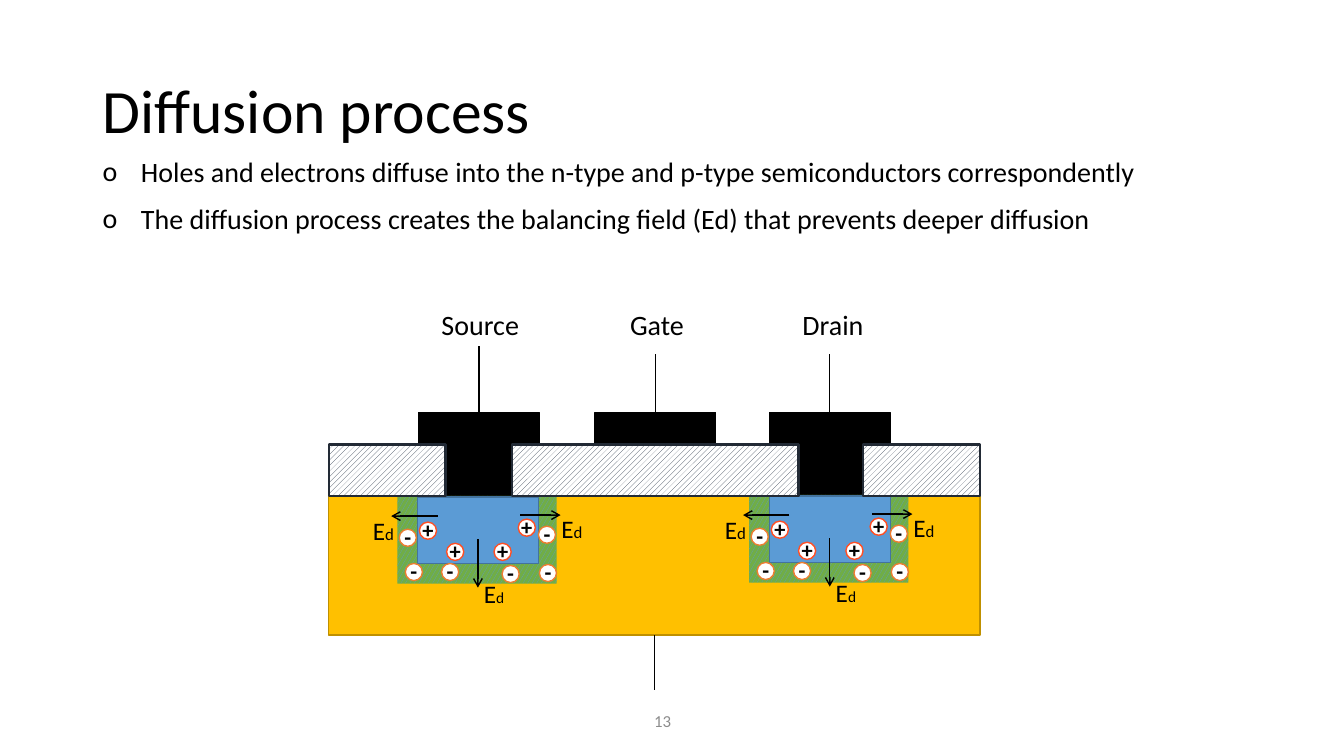
from lxml import etree
from pptx import Presentation
from pptx import util as u
from pptx.dml.color import RGBColor
from pptx.enum import dml, shapes, text
from pptx.oxml.ns import qn

EMU_PER_PX = 9144  # 100 px to the inch
BLACK, WHITE = "000000", "FFFFFF"
WELL_BLUE, WELL_GREEN = "5B9BD5", "70AD47"
HOLE_RED, ELECTRON_ORANGE = "FF4F25", "ED7D31"
CONFETTI = dml.MSO_PATTERN.LARGE_CONFETTI
HATCH = dml.MSO_PATTERN.WIDE_UPWARD_DIAGONAL


def px(length):
    return u.Emu(length * EMU_PER_PX)


def color(hex_code):
    return RGBColor.from_string(hex_code)


class Sketch:
    """Holds the text style and the page being drawn."""

    def __init__(self, page, font="Calibri"):
        self.page = page
        self.font = font

    def runs(self, para, spans, hex_code=BLACK, bold=False):
        for words, size in spans:
            span = para.add_run()
            span.text = words
            span.font.name = self.font
            span.font.size = u.Pt(size)
            span.font.bold = bold
            span.font.color.rgb = color(hex_code)

    def label(self, x, y, w, h, spans, hex_code=BLACK, wrap=False,
              anchor=text.MSO_ANCHOR.TOP, spacing=None):
        box = self.page.shapes.add_textbox(px(x), px(y), px(w), px(h))
        frame = box.text_frame
        frame.word_wrap = wrap
        frame.vertical_anchor = anchor
        para = frame.paragraphs[0]
        if spacing:
            para.line_spacing = spacing
        self.runs(para, spans, hex_code)

    def bullets(self, x, y, w, h, lines, size, indent, gap):
        box = self.page.shapes.add_textbox(px(x), px(y), px(w), px(h))
        frame = box.text_frame
        frame.word_wrap = True
        for index, line in enumerate(lines):
            para = frame.add_paragraph() if index else frame.paragraphs[0]
            para.line_spacing = 0.9
            if index:
                para.space_before = u.Pt(gap)
            props = para._p.get_or_add_pPr()
            props.set("marL", str(px(indent)))
            props.set("indent", str(-px(indent)))
            etree.SubElement(props, qn("a:buFont")).set("typeface", self.font)
            etree.SubElement(props, qn("a:buChar")).set("char", "o")
            self.runs(para, [(line, size)])

    def shape(self, x, y, w, h, fill, line=None, weight=1, pattern=None,
              back=WHITE, kind=shapes.MSO_SHAPE.RECTANGLE):
        shape = self.page.shapes.add_shape(kind, px(x), px(y), px(w), px(h))
        shape.shadow.inherit = False
        if pattern:
            shape.fill.patterned()
            shape.fill.pattern = pattern
            shape.fill.fore_color.rgb = color(fill)
            shape.fill.back_color.rgb = color(back)
        else:
            shape.fill.solid()
            shape.fill.fore_color.rgb = color(fill)
        if line:
            shape.line.color.rgb = color(line)
            shape.line.width = u.Pt(weight)
        else:
            shape.line.fill.background()
        return shape

    def charge(self, x, y, sign, ring, lift):
        circle = self.shape(x, y, 17, 17, WHITE, ring, kind=shapes.MSO_SHAPE.OVAL)
        frame = circle.text_frame
        frame.word_wrap = False
        frame.vertical_anchor = text.MSO_ANCHOR.MIDDLE
        frame.margin_left = frame.margin_right = frame.margin_top = 0
        frame.margin_bottom = px(lift)
        para = frame.paragraphs[0]
        para.alignment = text.PP_ALIGN.CENTER
        self.runs(para, [(sign, 16)], bold=True)

    def line(self, x1, y1, x2, y2, arrow=False, start=None, side=0):
        line = self.page.shapes.add_connector(
            shapes.MSO_CONNECTOR.STRAIGHT, px(x1), px(y1), px(x2), px(y2))
        line.line.color.rgb = color(BLACK)
        line.line.width = u.Pt(1)
        props = line._element.spPr
        if arrow:
            outline = props.find(qn("a:ln"))
            etree.SubElement(outline, qn("a:tailEnd")).set("type", "arrow")
        etree.SubElement(props, qn("a:effectLst"))
        if start is not None:
            line.begin_connect(start, side)

    def well(self, x, y):
        # Depletion zone around the doped region
        self.shape(x, y, 158, 87, WELL_BLUE, pattern=CONFETTI, back=WELL_GREEN)
        self.shape(x + 20, y + 1, 120, 66, WELL_BLUE, "43739E")
        # Holes inside, electrons outside
        for dx, dy in [(22, 26), (49, 47), (96, 47), (120, 23)]:
            self.charge(x + dx, y + dy, "+", HOLE_RED, 2)
        for dx, dy in [(2, 33), (8, 67), (44, 67), (104, 69), (140, 30), (141, 68)]:
            self.charge(x + dx, y + dy, "-", ELECTRON_ORANGE, 3)
        # Balancing field, pointing outwards
        for x1, y1, x2, y2 in [(80, 43, 80, 91), (40, 20, -6, 20), (122, 19, 162, 19)]:
            self.line(x + x1, y + y1, x + x2, y + y2, arrow=True)
        for dx, dy, width, size in [(153, 12, 43, 12), (76, 77, 41, 11), (-34, 14, 43, 12)]:
            self.label(x + dx, y + dy, width, 40, [("E", 18), ("d", size)])


def main():
    deck = Presentation()
    deck.slide_width, deck.slide_height = u.Inches(13.33), u.Inches(7.5)
    sketch = Sketch(deck.slides.add_slide(deck.slide_layouts[6]))

    # Heading, bullets and page number
    sketch.label(92, 40, 1150, 145, [("Diffusion process", 44)], wrap=True,
                 anchor=text.MSO_ANCHOR.MIDDLE, spacing=0.9)
    sketch.bullets(92, 152, 1116, 119, [
        "Holes and electrons diffuse into the n-type and p-type semiconductors correspondently",
        "The diffusion process creates the balancing field (Ed) that prevents deeper diffusion",
    ], size=20, indent=38, gap=12)
    sketch.label(639, 695, 79, 40, [("13", 12)], "8C8C8C", wrap=True,
                 anchor=text.MSO_ANCHOR.MIDDLE)

    # Substrate and its contact
    substrate = sketch.shape(326, 491, 646, 139, "FFC000", "BF9000")
    sketch.line(649, 630, 649, 685, start=substrate, side=2)

    # Electrodes with leads and names
    for name, left, lead_top, label_left, label_width in [
            ("Source", 415, 343, 428, 97),
            ("Gate", 590, 351, 615, 75),
            ("Drain", 763, 351, 786, 82)]:
        electrode = sketch.shape(left, 409, 120, 82, BLACK, BLACK)
        sketch.line(left + 60, 409, left + 60, lead_top, start=electrode)
        sketch.label(label_left, 300, label_width, 44, [(name, 20)])

    # Source and drain wells
    for x, y in [(394, 492), (743, 491)]:
        sketch.well(x, y)

    # Oxide layer
    for left, width in [(326, 116), (508, 284), (856, 116)]:
        sketch.shape(left, 441, width, 51, "333F50", "222A35", 1.5, pattern=HATCH)

    deck.save("out.pptx")


if __name__ == "__main__":
    main()
